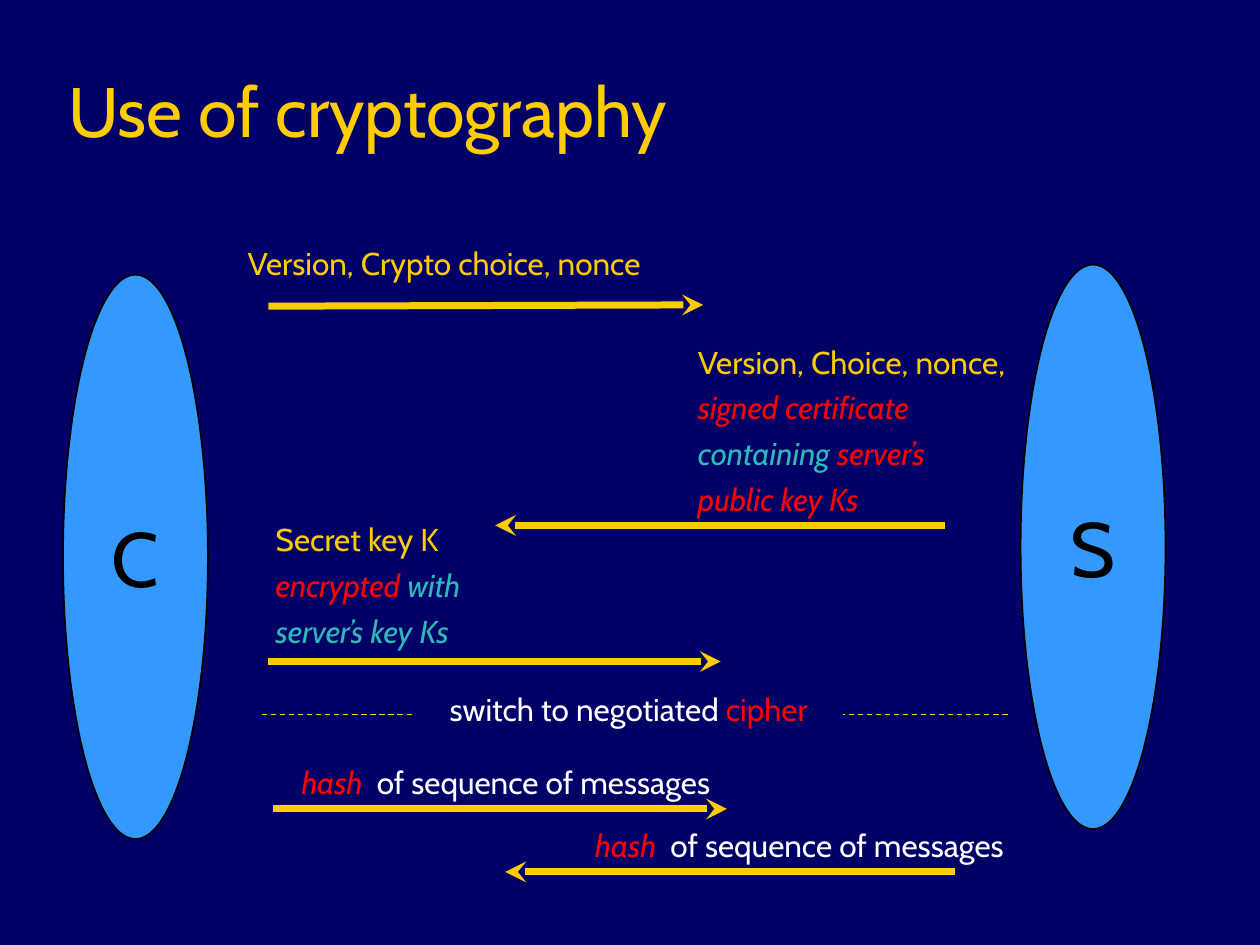
from dataclasses import dataclass

from lxml.etree import SubElement
from pptx import Presentation
from pptx.dml.color import RGBColor
from pptx.enum.dml import MSO_LINE_DASH_STYLE as Dash
from pptx.enum.shapes import MSO_CONNECTOR as Connector, MSO_SHAPE as Shape
from pptx.enum.text import MSO_ANCHOR as Anchor, MSO_AUTO_SIZE as AutoSize, PP_ALIGN as Align
from pptx.oxml.ns import qn
from pptx.util import Inches, Pt


@dataclass(frozen=True)
class Theme:
    font: str = "Cabin"
    background: str = "000066"
    gold: str = "FFCC00"
    red: str = "FF0000"
    teal: str = "2DB9B9"
    white: str = "FFFFFF"
    black: str = "000000"
    blue: str = "3399FF"
    title_size: float = 40
    party_size: float = 44
    message_size: float = 18
    arrow_width: float = 4
    divider_width: float = 0.75
    outline_width: float = 1
    spacing: float = 0.25


THEME = Theme()
WIDTH, HEIGHT = 10, 7.5
PARTY_SIZE = (1.15, 4.48)
LINE_HEIGHT, INSET_HEIGHT = 0.365, 0.04

TITLE = ("Use of cryptography", (0.44, 0.25, 8.5, 1))
PARTIES = [("C", 0.5, 2.18), ("S", 8.1, 2.1)]

GOLD = (THEME.gold, False)
WHITE = (THEME.white, False)
RED = (THEME.red, False)
RED_ITALIC = (THEME.red, True)
TEAL_ITALIC = (THEME.teal, True)

MESSAGES = [
    ((1.69, 1.89, 3.67), Align.CENTER, [[("Version, Crypto choice, nonce", GOLD)]]),
    ((5.44, 2.67, 2.92), Align.LEFT, [
        [("Version, Choice, nonce,", GOLD)],
        [("signed certificate", RED_ITALIC)],
        [("containing ", TEAL_ITALIC), ("server’s", RED_ITALIC)],
        [("public key Ks", RED_ITALIC)],
    ]),
    ((2.09, 4.08, 1.9), Align.LEFT, [
        [("Secret key K", GOLD)],
        [("encrypted ", RED_ITALIC), ("with", TEAL_ITALIC)],
        [("server’s key Ks", TEAL_ITALIC)],
    ]),
    ((4.43, 6.51, 3.83), Align.CENTER,
     [[("hash  ", RED_ITALIC), ("of sequence of messages", WHITE)]]),
    ((2.1, 6.01, 3.83), Align.CENTER,
     [[("hash ", RED_ITALIC), (" of sequence of messages", WHITE)]]),
]
SWITCH = ((3.29, 5.43, 3.4), Align.CENTER,
          [[("switch to negotiated ", WHITE), ("cipher", RED)]])
DIVIDER = ((2.08, 5.67), (8, 5.67))
ARROWS = [
    ((2.13, 2.43), (5.58, 2.42)),
    ((7.5, 4.17), (3.93, 4.17)),
    ((2.13, 5.25), (5.72, 5.25)),
    ((2.17, 6.42), (5.77, 6.42)),
    ((7.58, 6.92), (4.01, 6.92)),
]


def color(value):
    return RGBColor.from_string(value)


def add_run(paragraph, text, size, style):
    run = paragraph.add_run()
    run.text = text
    value, italic = style
    for name, setting in {"name": THEME.font, "size": Pt(size), "italic": italic}.items():
        setattr(run.font, name, setting)
    run.font.color.rgb = color(value)


def write(shape, lines, size, align, anchor=Anchor.TOP, spacing=THEME.spacing):
    frame = shape.text_frame
    settings = {"word_wrap": True, "auto_size": AutoSize.NONE, "vertical_anchor": anchor}
    for name, setting in settings.items():
        setattr(frame, name, setting)
    for index, runs in enumerate(lines):
        paragraph = frame.add_paragraph() if index else frame.paragraphs[0]
        paragraph.alignment = align
        paragraph.space_before = Pt(size * spacing)
        for text, style in runs:
            add_run(paragraph, text, size, style)


def add_line(slide, start, end, width):
    line = slide.shapes.add_connector(Connector.STRAIGHT, *map(Inches, start + end))
    line.line.color.rgb = color(THEME.gold)
    line.line.width = Pt(width)
    SubElement(line._element.spPr, qn("a:effectLst"))
    return line


def add_arrow(slide, start, end):
    arrow = add_line(slide, start, end, THEME.arrow_width)
    SubElement(arrow.line._get_or_add_ln(), qn("a:tailEnd"), type="stealth")


def add_party(slide, label, left, top):
    ellipse = slide.shapes.add_shape(Shape.OVAL, *map(Inches, (left, top) + PARTY_SIZE))
    ellipse.shadow.inherit = False
    ellipse.fill.solid()
    ellipse.fill.fore_color.rgb = color(THEME.blue)
    ellipse.line.color.rgb = color(THEME.black)
    ellipse.line.width = Pt(THEME.outline_width)
    write(ellipse, [[(label, (THEME.black, False))]], THEME.party_size, Align.CENTER, Anchor.MIDDLE)


def add_message(slide, position, align, lines):
    left, top, width = position
    height = LINE_HEIGHT * len(lines) + INSET_HEIGHT
    box = slide.shapes.add_textbox(*map(Inches, (left, top, width, height)))
    write(box, lines, THEME.message_size, align)
    return box


def add_title(slide, text, position):
    title = slide.shapes.title
    for name, length in zip(("left", "top", "width", "height"), position):
        setattr(title, name, Inches(length))
    write(title, [[(text, GOLD)]], THEME.title_size, Align.LEFT, Anchor.BOTTOM, 0)


def main():
    presentation = Presentation()
    presentation.slide_width, presentation.slide_height = Inches(WIDTH), Inches(HEIGHT)
    slide = presentation.slides.add_slide(presentation.slide_layouts[5])
    slide.background.fill.solid()
    slide.background.fill.fore_color.rgb = color(THEME.background)

    add_title(slide, *TITLE)
    for party in PARTIES:
        add_party(slide, *party)
    for arrow in ARROWS:
        add_arrow(slide, *arrow)
    for message in MESSAGES:
        add_message(slide, *message)
    divider = add_line(slide, *DIVIDER, THEME.divider_width)
    divider.line.dash_style = Dash.DASH
    switch = add_message(slide, *SWITCH)
    switch.fill.solid()
    switch.fill.fore_color.rgb = color(THEME.background)

    presentation.save("out.pptx")


if __name__ == "__main__":
    main()
